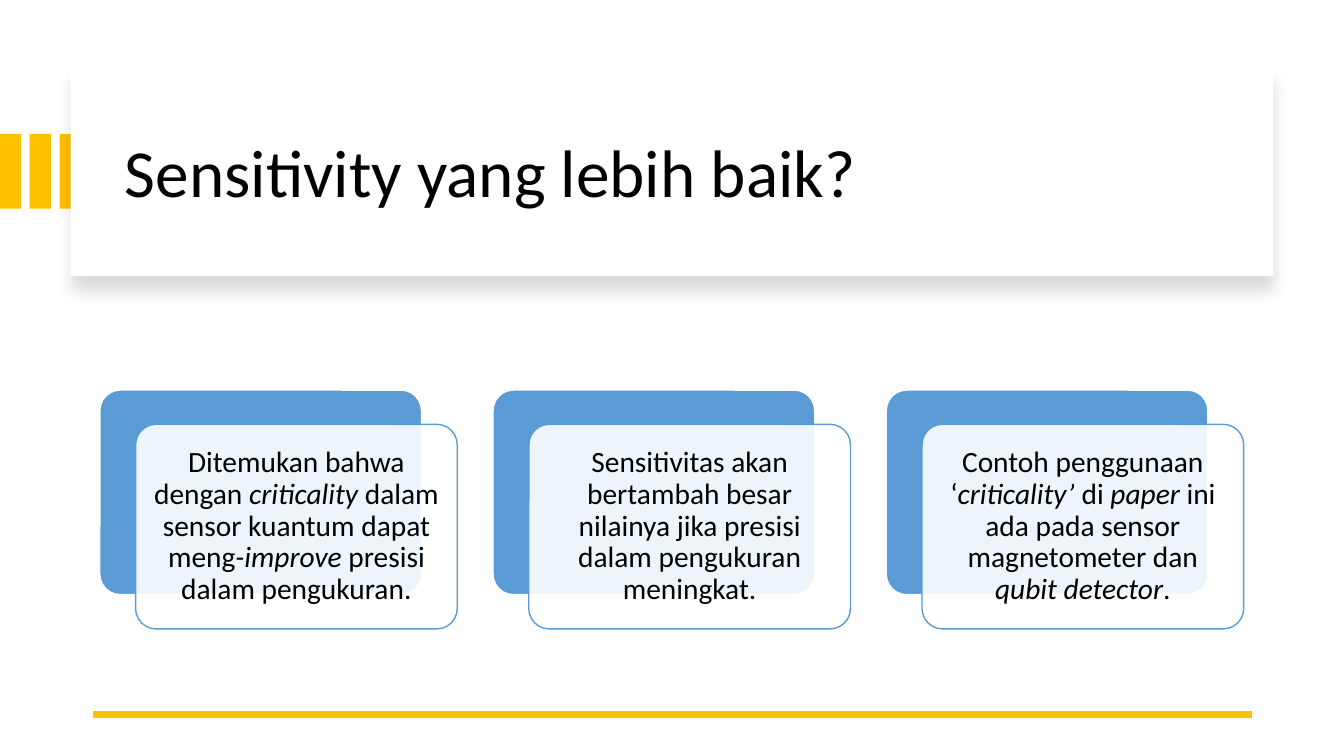
import pptx
import pptx.util
import pptx.dml.color
import pptx.enum.shapes
import pptx.enum.text
import pptx.oxml
import pptx.oxml.ns

# Content: each card is a list of (text, italic) runs
TITLE = "Sensitivity yang lebih baik?"
CARDS = [
    [("Ditemukan bahwa dengan ", False), ("criticality ", True),
     ("dalam sensor kuantum dapat meng", False), ("-improve ", True),
     ("presisi dalam pengukuran.", False)],
    [("Sensitivitas akan bertambah besar nilainya jika presisi dalam "
      "pengukuran meningkat.", False)],
    [("Contoh penggunaan ‘", False), ("criticality’ ", True), ("di ", False),
     ("paper", True), (" ini ada pada sensor magnetometer dan ", False),
     ("qubit detector", True), (".", False)],
]
FONT = "Calibri"
BLACK, WHITE, GOLD, BLUE = "000000", "FFFFFF", "FFC000", "5B9BD5"

# Layout in inches
SLIDE_W, SLIDE_H = 13.33, 7.5
STRIPE_COUNT, STRIPE_PITCH = 3, 0.295
STRIPE_TOP, STRIPE_W, STRIPE_H = 1.33, 0.21, 0.74
CARD_LEFT, CARD_TOP, CARD_PITCH = 0.99, 3.87, 3.9
CARD_W, CARD_H = 3.19, 2.03
FRONT_DX, FRONT_DY, TEXT_PAD = 0.355, 0.34, 0.06

SHAPE = pptx.enum.shapes.MSO_SHAPE
A_NS = pptx.oxml.ns.nsdecls("a")
inch = pptx.util.Inches


def color(hex_code):
    return pptx.dml.color.RGBColor.from_string(hex_code)


def add_box(kind, x, y, w, h, fill, line=None):
    sp = slide.shapes.add_shape(kind, inch(x), inch(y), inch(w), inch(h))
    sp.shadow.inherit = False
    sp.fill.solid()
    sp.fill.fore_color.rgb = color(fill)
    if line:
        sp.line.color.rgb = color(line)
        sp.line.width = pptx.util.Pt(1)
    else:
        sp.line.fill.background()
    if kind == SHAPE.ROUNDED_RECTANGLE:
        sp.adjustments[0] = 0.1
    return sp


def add_text(x, y, w, h, runs, size, align, inset):
    tf = slide.shapes.add_textbox(inch(x), inch(y), inch(w), inch(h)).text_frame
    tf.word_wrap = True
    tf.vertical_anchor = pptx.enum.text.MSO_ANCHOR.MIDDLE
    tf.margin_left = tf.margin_right = inch(inset)
    tf.margin_top = tf.margin_bottom = inch(inset)
    p = tf.paragraphs[0]
    p.alignment = align
    p.line_spacing = 0.9
    for text, italic in runs:
        r = p.add_run()
        r.text = text
        r.font.name = FONT
        r.font.size = pptx.util.Pt(size)
        r.font.italic = italic
        r.font.color.rgb = color(BLACK)


prs = pptx.Presentation()
prs.slide_width, prs.slide_height = inch(SLIDE_W), inch(SLIDE_H)
slide = prs.slides.add_slide(prs.slide_layouts[6])

# Gold stripes at the left edge
for i in range(STRIPE_COUNT):
    add_box(SHAPE.RECTANGLE, i * STRIPE_PITCH, STRIPE_TOP, STRIPE_W, STRIPE_H, GOLD)

# Title panel with a soft shadow below
panel = add_box(SHAPE.RECTANGLE, 0.7, 0.67, 11.93, 2.07, WHITE)
effects = panel._element.spPr.find(pptx.oxml.ns.qn("a:effectLst"))
effects.append(pptx.oxml.parse_xml(
    f'<a:outerShdw {A_NS} blurRad="{pptx.util.Pt(11)}" dist="{pptx.util.Pt(10)}" '
    f'dir="5400000" algn="t" rotWithShape="0"><a:srgbClr val="{BLACK}">'
    '<a:alpha val="15000"/></a:srgbClr></a:outerShdw>'))
add_text(1.14, 0.89, 11.13, 1.7, [(TITLE, False)], 48,
         pptx.enum.text.PP_ALIGN.LEFT, 0.1)

# Gold rule at the bottom
rule = slide.shapes.add_connector(pptx.enum.shapes.MSO_CONNECTOR.STRAIGHT,
                                  inch(12.42), inch(7.09), inch(0.92), inch(7.09))
rule.line.color.rgb = color(GOLD)
rule.line.width = pptx.util.Pt(4.5)
rule._element.spPr.append(pptx.oxml.parse_xml(f"<a:effectLst {A_NS}/>"))

# Cards: blue back, translucent front, text
for i, runs in enumerate(CARDS):
    x = CARD_LEFT + i * CARD_PITCH
    add_box(SHAPE.ROUNDED_RECTANGLE, x, CARD_TOP, CARD_W, CARD_H, BLUE, WHITE)
    x, y = x + FRONT_DX, CARD_TOP + FRONT_DY
    front = add_box(SHAPE.ROUNDED_RECTANGLE, x, y, CARD_W, CARD_H, WHITE, BLUE)
    fill = front._element.spPr.find(pptx.oxml.ns.qn("a:solidFill"))
    fill[0].append(pptx.oxml.parse_xml(f'<a:alpha {A_NS} val="90000"/>'))
    add_text(x + TEXT_PAD, y + TEXT_PAD, CARD_W - 2 * TEXT_PAD, CARD_H - 2 * TEXT_PAD,
             runs, 21, pptx.enum.text.PP_ALIGN.CENTER, 0.09)

prs.save("out.pptx")
